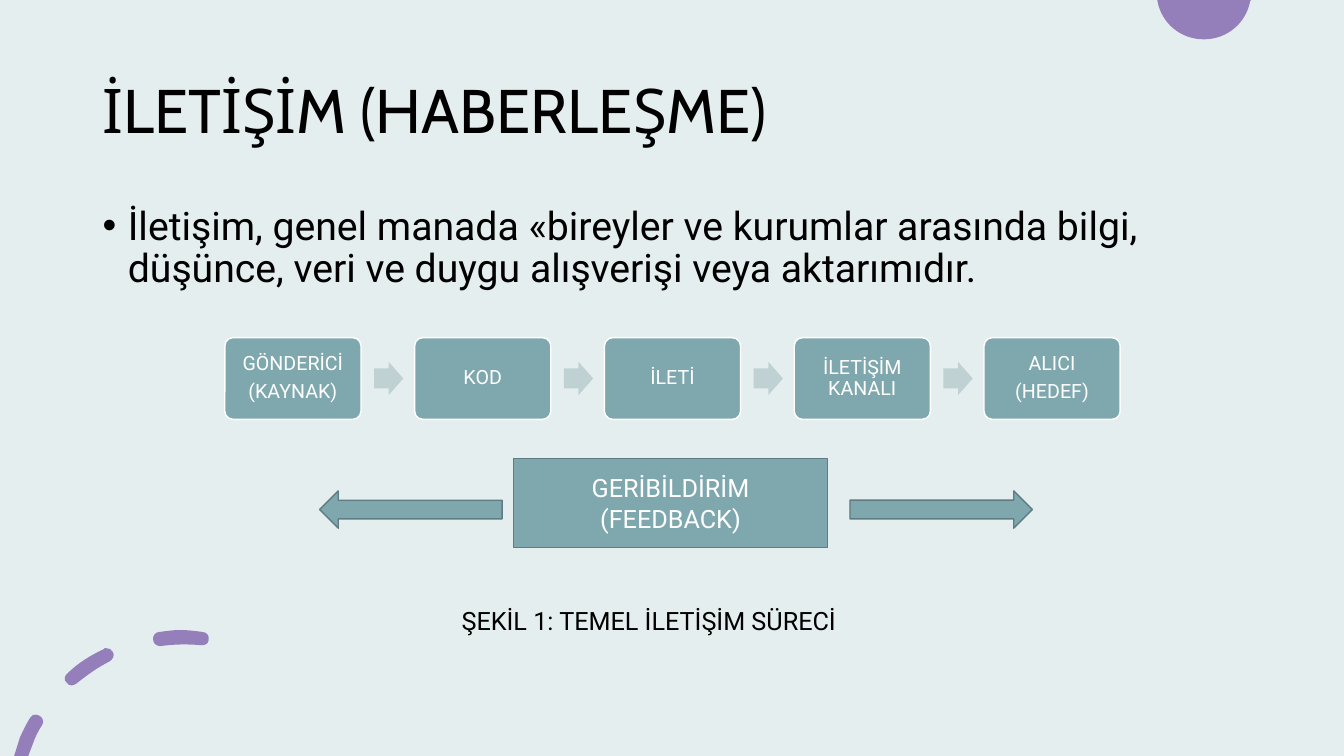
from lxml.etree import SubElement
from pptx import Presentation
from pptx.dml.color import RGBColor
from pptx.enum.shapes import MSO_SHAPE
from pptx.enum.text import MSO_ANCHOR, PP_ALIGN
from pptx.oxml.ns import qn
from pptx.util import Inches, Pt

COLORS = {
    "background": "E5EEEF",
    "accent": "957FBA",
    "teal": "7FA8AE",
    "teal_edge": "5E7C81",
    "step_arrow": "C0D1D3",
    "white": "FFFFFF",
    "black": "000000",
}

CIRCLE = [
    [(0, 0), (0.93, 0), (0.92, 0.01),
     (0.88, 0.23, 0.69, 0.39, 0.46, 0.39), (0.23, 0.39, 0.04, 0.23, 0, 0.01)],
]
DASHES = [
    [(0.22, 0.84), (0.2, 0.83, 0.17, 0.85, 0.16, 0.87),
     (0.12, 0.93, 0.09, 1, 0.06, 1.06), (0, 1.25), (0.14, 1.25), (0.19, 1.12),
     (0.21, 1.06, 0.24, 1, 0.28, 0.94), (0.3, 0.91, 0.28, 0.86, 0.25, 0.85),
     (0.24, 0.84, 0.23, 0.84, 0.22, 0.84)],
    [(0.91, 0.18), (0.9, 0.18, 0.89, 0.18, 0.89, 0.19),
     (0.76, 0.25, 0.63, 0.33, 0.53, 0.43), (0.5, 0.45, 0.49, 0.5, 0.52, 0.52),
     (0.53, 0.54, 0.55, 0.55, 0.57, 0.55), (0.59, 0.55, 0.6, 0.54, 0.62, 0.53),
     (0.72, 0.45, 0.83, 0.37, 0.95, 0.31), (0.98, 0.29, 1, 0.25, 0.98, 0.22),
     (0.97, 0.19, 0.94, 0.18, 0.91, 0.18)],
    [(1.65, 0), (1.58, 0, 1.51, 0.01, 1.44, 0.02),
     (1.4, 0.02, 1.37, 0.06, 1.38, 0.1), (1.38, 0.13, 1.41, 0.16, 1.45, 0.16),
     (1.59, 0.14, 1.72, 0.14, 1.85, 0.15), (1.89, 0.16, 1.93, 0.13, 1.93, 0.1),
     (1.94, 0.06, 1.91, 0.02, 1.87, 0.02), (1.8, 0.01, 1.72, 0, 1.65, 0)],
]
STEPS = [
    ["GÖNDERİCİ", "(KAYNAK)"],
    ["KOD"],
    ["İLETİ"],
    ["İLETİŞİM KANALI"],
    ["ALICI", "(HEDEF)"],
]


def color(key):
    return RGBColor.from_string(COLORS[key])


def paint(shape, fill, edge=None):
    shape.shadow.inherit = False
    shape.fill.solid()
    shape.fill.fore_color.rgb = color(fill)
    if edge:
        shape.line.color.rgb = color(edge)
        shape.line.width = Pt(1)
    else:
        shape.line.fill.background()


def add_preset(slide, preset, box, fill, edge=None):
    shape = slide.shapes.add_shape(preset, *map(Inches, box))
    paint(shape, fill, edge)
    return shape


def write(frame, lines, size, ink, font="Roboto", align=PP_ALIGN.LEFT,
          anchor=MSO_ANCHOR.TOP, line_spacing=1.0, gap=0):
    frame.word_wrap = True
    frame.vertical_anchor = anchor
    frame.text = "\n".join(lines)
    for paragraph in frame.paragraphs:
        paragraph.alignment = align
        paragraph.line_spacing = line_spacing
        for run in paragraph.runs:
            run.font.size = Pt(size)
            run.font.name = font
            run.font.color.rgb = color(ink)
    for paragraph in frame.paragraphs[:-1]:
        paragraph.space_after = Pt(gap)


def bend(shape, segments):
    strokes = iter(list(shape._element.iter(qn("a:lnTo"))))
    for segment in segments:
        stroke = next(strokes)
        if len(segment) == 6:
            stroke.tag = qn("a:cubicBezTo")
            for _ in range(2):
                extra = next(strokes)
                stroke.append(extra[0])
                extra.getparent().remove(extra)


def decoration(slide, box, contours):
    left, top = box[:2]

    def place(x, y):
        return Inches(left + x), Inches(top + y)

    outline = slide.shapes.build_freeform(*place(*contours[0][0]))
    for index, (start, *segments) in enumerate(contours):
        if index:
            outline.move_to(*place(*start))
        points = [place(*segment[i:i + 2])
                  for segment in segments for i in range(0, len(segment), 2)]
        outline.add_line_segments(points, close=True)
    ornament = outline.convert_to_shape()
    bend(ornament, [segment for contour in contours for segment in contour[1:]])
    paint(ornament, "accent")


def title(slide, box):
    heading = slide.shapes.add_textbox(*map(Inches, box))
    write(heading.text_frame, ["İLETİŞİM (HABERLEŞME)"], 44, "black", "Cabin",
          anchor=MSO_ANCHOR.MIDDLE, line_spacing=0.9)


def definition(slide, box):
    body = slide.shapes.add_textbox(*map(Inches, box))
    write(body.text_frame,
          ["İletişim, genel manada «bireyler ve kurumlar arasında bilgi, "
           "düşünce, veri ve duygu alışverişi veya aktarımıdır."],
          28, "black", line_spacing=0.9)
    properties = body.text_frame.paragraphs[0]._p.get_or_add_pPr()
    properties.set("marL", str(Inches(0.25)))
    properties.set("indent", str(-Inches(0.25)))
    SubElement(properties, qn("a:buFont")).set("typeface", "Arial")
    SubElement(properties, qn("a:buChar")).set("char", "•")


def process(slide, box):
    left, top, width, height = box
    step_width, arrow_width, arrow_height = 1.35, 0.29, 0.33
    pitch = (width - step_width) / (len(STEPS) - 1)
    for i, lines in enumerate(STEPS):
        x = left + i * pitch
        step = add_preset(slide, MSO_SHAPE.ROUNDED_RECTANGLE,
                          (x, top, step_width, height), "teal", "white")
        step.adjustments[0] = 0.1
        frame = step.text_frame
        frame.margin_left = frame.margin_right = Inches(0.06)
        frame.margin_top = frame.margin_bottom = Inches(0.06)
        write(frame, lines, 14, "white", align=PP_ALIGN.CENTER,
              anchor=MSO_ANCHOR.MIDDLE, line_spacing=0.9, gap=5)
        if i < len(STEPS) - 1:
            arrow = add_preset(
                slide, MSO_SHAPE.RIGHT_ARROW,
                (x + step_width + 0.13, top + (height - arrow_height) / 2,
                 arrow_width, arrow_height), "step_arrow")
            arrow.adjustments[0] = 0.6


def feedback(slide, box):
    left, top, width, height = box
    label = add_preset(slide, MSO_SHAPE.RECTANGLE,
                       (left + 1.92, top, 3.12, height), "teal", "teal_edge")
    write(label.text_frame, ["GERİBİLDİRİM (FEEDBACK)"], 18, "white",
          align=PP_ALIGN.CENTER, anchor=MSO_ANCHOR.MIDDLE)
    arrow_width = 1.81
    for x, rotation in ((left + width - arrow_width, 0), (left, 180)):
        arrow = add_preset(slide, MSO_SHAPE.RIGHT_ARROW,
                           (x, top + 0.32, arrow_width, 0.37), "teal", "teal_edge")
        arrow.rotation = rotation


def caption(slide, box):
    note = slide.shapes.add_textbox(*map(Inches, box))
    write(note.text_frame, ["ŞEKİL 1: TEMEL İLETİŞİM SÜRECİ"], 18, "black")


def main():
    deck = Presentation()
    deck.slide_width, deck.slide_height = Inches(13.33), Inches(7.5)
    slide = deck.slides.add_slide(deck.slide_layouts[6])
    slide.background.fill.solid()
    slide.background.fill.fore_color.rgb = color("background")
    decoration(slide, (11.48, 0, 0.93, 0.39), CIRCLE)
    decoration(slide, (0.14, 6.25, 1.94, 1.25), DASHES)
    title(slide, (0.92, 0.4, 11.5, 1.45))
    definition(slide, (0.92, 2, 11.5, 4.22))
    process(slide, (2.23, 3.35, 8.88, 0.81))
    feedback(slide, (3.17, 4.55, 7.07, 0.88))
    caption(slide, (4.48, 5.96, 3.95, 0.4))
    deck.save("out.pptx")


if __name__ == "__main__":
    main()
